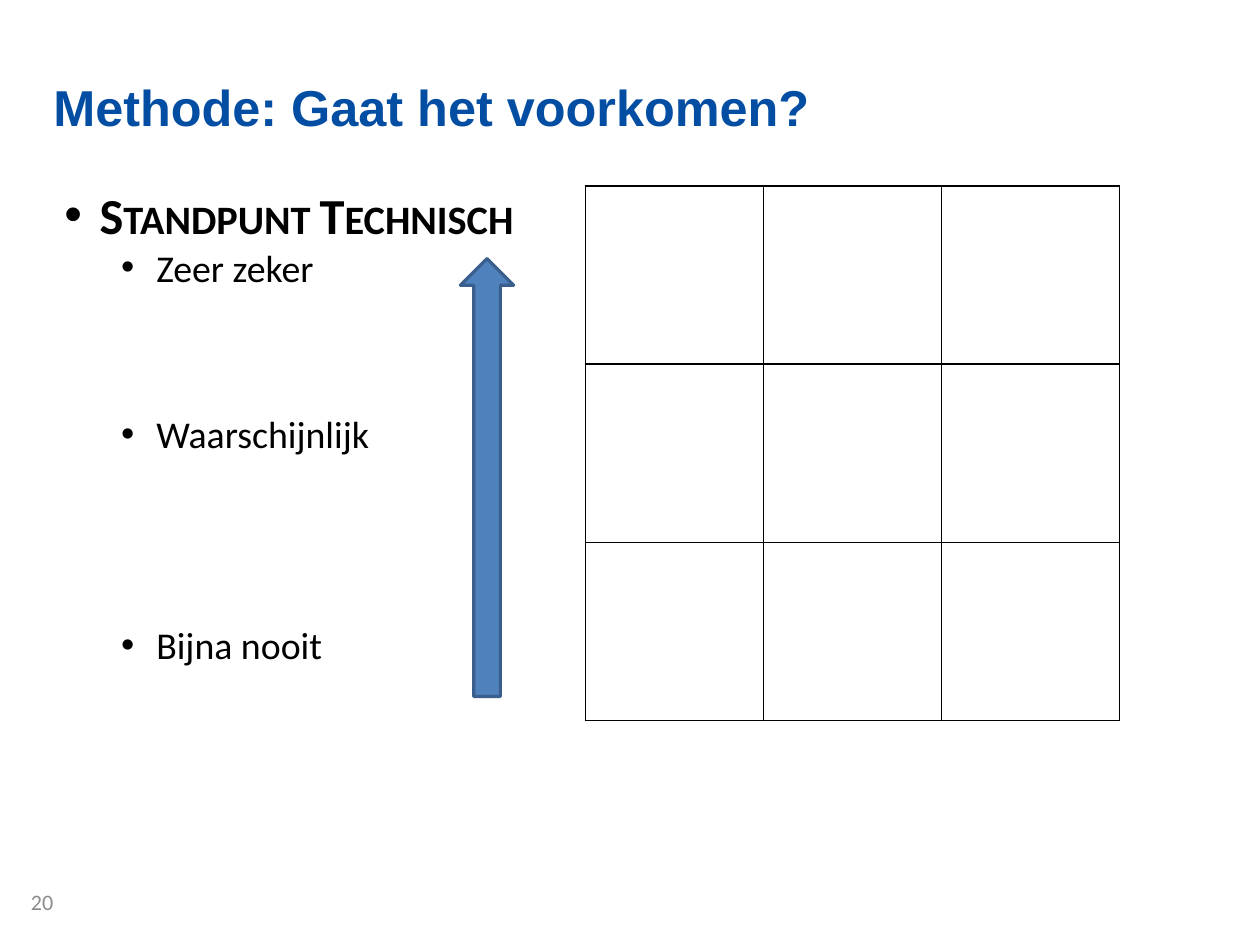
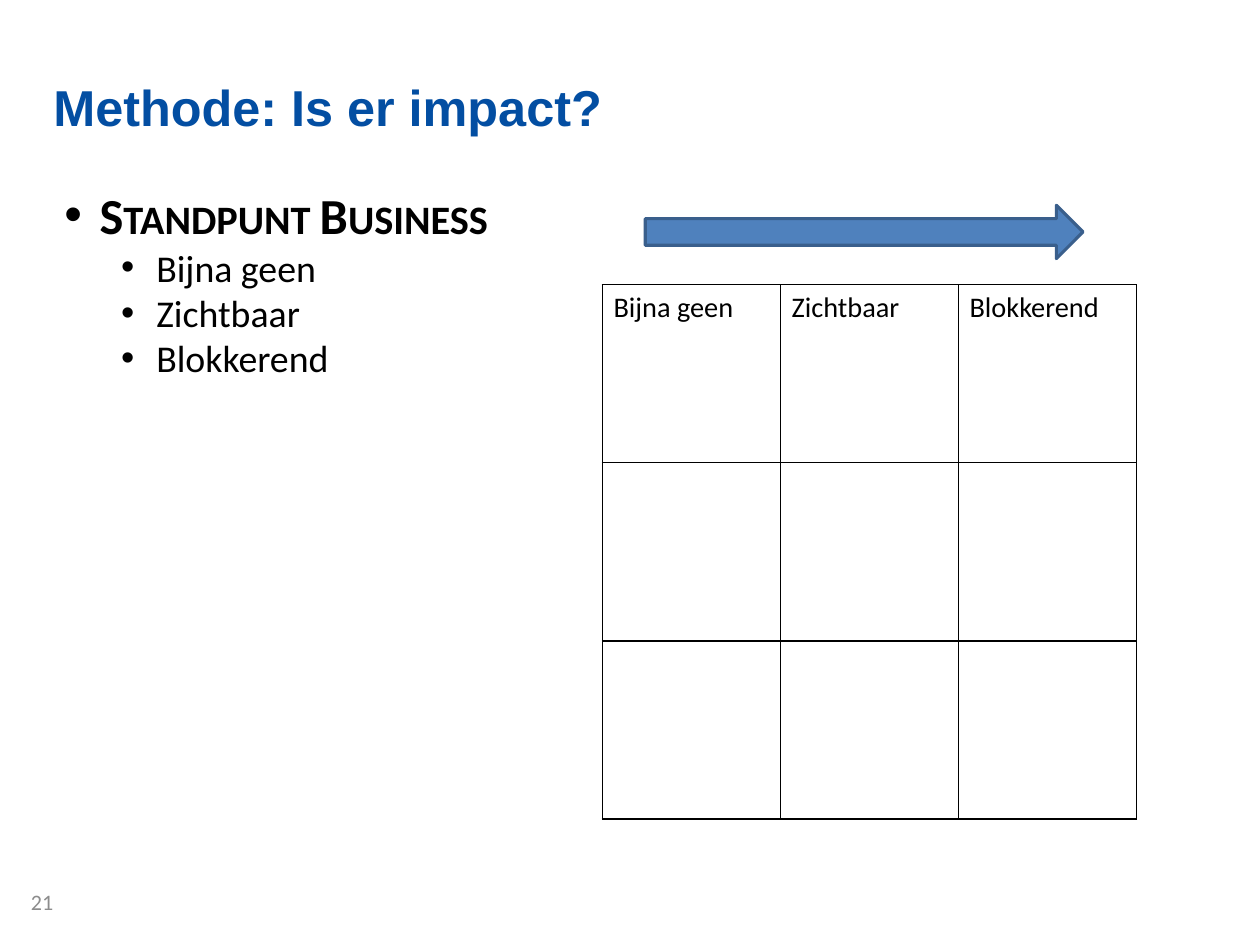
"""Two slides on rating a risk by likelihood and by impact in a 3 x 3 grid."""
from lxml import etree
from pptx import Presentation
from pptx.dml.color import RGBColor
from pptx.enum.shapes import MSO_SHAPE
from pptx.enum.text import PP_ALIGN
from pptx.oxml.ns import qn
from pptx.util import Inches, Pt

UP, RIGHT = MSO_SHAPE.UP_ARROW, MSO_SHAPE.RIGHT_ARROW
ALIGN_LEFT, ALIGN_RIGHT = PP_ALIGN.LEFT, PP_ALIGN.RIGHT

TITLE_BLUE = RGBColor(0x03, 0x4E, 0xA2)
BLACK = RGBColor(0, 0, 0)
GREY = RGBColor(0x8C, 0x8C, 0x8C)
ARROW_FILL = RGBColor(0x4F, 0x81, 0xBD)
ARROW_LINE = RGBColor(0x3A, 0x5F, 0x8C)

WIDTH, HEIGHT = 11.11, 8.33
MARGIN, CONTENT_W = 0.47, 10.17
GRID, CELL = 3, 1.57
ARROW_LENGTH, ARROW_WIDTH = 3.86, 0.47
HANG = 0.31

SLIDES = [
    {
        "number": 20,
        "title": "Methode: Gaat het voorkomen?",
        "heading": "Standpunt Technisch",
        "points": [("Zeer zeker", 0), ("Waarschijnlijk", 77), ("Bijna nooit", 105)],
        "grid_at": (5.16, 1.64),
        "headers": [],
        "arrow": (UP, 4.06, 2.28, ARROW_WIDTH, ARROW_LENGTH),
    },
    {
        "number": 21,
        "title": "Methode: Is er impact?",
        "heading": "Standpunt Business",
        "points": [("Bijna geen", 0), ("Zichtbaar", 0), ("Blokkerend", 0)],
        "grid_at": (5.31, 2.51),
        "headers": ["Bijna geen", "Zichtbaar", "Blokkerend"],
        "arrow": (RIGHT, 5.69, 1.81, ARROW_LENGTH, ARROW_WIDTH),
    },
]


def write(p, text, size, color=BLACK, font="Calibri", bold=False, small_caps=False,
          align=ALIGN_LEFT, before=0, bullet_indent=None):
    p.alignment = align
    p.space_before = Pt(before)
    r = p.add_run()
    r.text = text
    r.font.size, r.font.name, r.font.bold = Pt(size), font, bold
    r.font.color.rgb = color
    if small_caps:
        r.font._element.set("cap", "small")
    if bullet_indent is not None:
        pPr = p._p.get_or_add_pPr()
        pPr.set("marL", str(Inches(bullet_indent)))
        pPr.set("indent", str(-Inches(HANG)))
        etree.SubElement(pPr, qn("a:buFont"), typeface="Arial")
        etree.SubElement(pPr, qn("a:buChar"), char="•")


def add_box(s, x, y, w, h, inset=(0, 0)):
    tf = s.shapes.add_textbox(Inches(x), Inches(y), Inches(w), Inches(h)).text_frame
    tf.word_wrap = True
    tf.margin_left = tf.margin_right = Inches(inset[0])
    tf.margin_top = tf.margin_bottom = Inches(inset[1])
    return tf


def add_frame(s, title, number):
    tf = add_box(s, MARGIN, 0.62, CONTENT_W, 0.79, inset=(0, 0.05))
    write(tf.paragraphs[0], title, 32, TITLE_BLUE, "Arial", bold=True)
    tf = add_box(s, 0, 7.83, MARGIN, 0.2)
    write(tf.paragraphs[0], str(number), 14, GREY, align=ALIGN_RIGHT)


def add_points(s, heading, points):
    tf = add_box(s, MARGIN, 1.57, CONTENT_W, 5.67, inset=(0.1, 0.05))
    write(tf.paragraphs[0], heading, 32, bold=True, small_caps=True, bullet_indent=HANG)
    for text, before in points:
        write(tf.add_paragraph(), text, 24, before=before, bullet_indent=HANG + 0.5)


def add_borders(cell):
    tcPr = cell._tc.get_or_add_tcPr()
    for side in ("lnL", "lnR", "lnT", "lnB"):
        ln = etree.SubElement(tcPr, qn(f"a:{side}"), w=str(Pt(1)))
        fill = etree.SubElement(ln, qn("a:solidFill"))
        etree.SubElement(fill, qn("a:srgbClr"), val=str(BLACK))


def add_grid(s, x, y, headers):
    side = Inches(GRID * CELL)
    table = s.shapes.add_table(GRID, GRID, Inches(x), Inches(y), side, side).table
    table.first_row = table.horz_banding = False
    for line in [*table.columns]:
        line.width = Inches(CELL)
    for line in table.rows:
        line.height = Inches(CELL)
    for cell in table.iter_cells():
        add_borders(cell)
        cell.fill.background()
    for col, text in enumerate(headers):
        write(table.cell(0, col).text_frame.paragraphs[0], text, 18)


def add_arrow(s, kind, x, y, w, h):
    sp = s.shapes.add_shape(kind, Inches(x), Inches(y), Inches(w), Inches(h))
    sp.shadow.inherit = False
    sp.fill.solid()
    sp.fill.fore_color.rgb = ARROW_FILL
    sp.line.color.rgb = ARROW_LINE
    sp.line.width = Pt(2)


def main():
    prs = Presentation()
    prs.slide_width, prs.slide_height = Inches(WIDTH), Inches(HEIGHT)
    for item in SLIDES:
        s = prs.slides.add_slide(prs.slide_layouts[6])
        add_frame(s, item["title"], item["number"])
        add_points(s, item["heading"], item["points"])
        add_grid(s, *item["grid_at"], item["headers"])
        add_arrow(s, *item["arrow"])
    prs.save("out.pptx")


if __name__ == "__main__":
    main()
